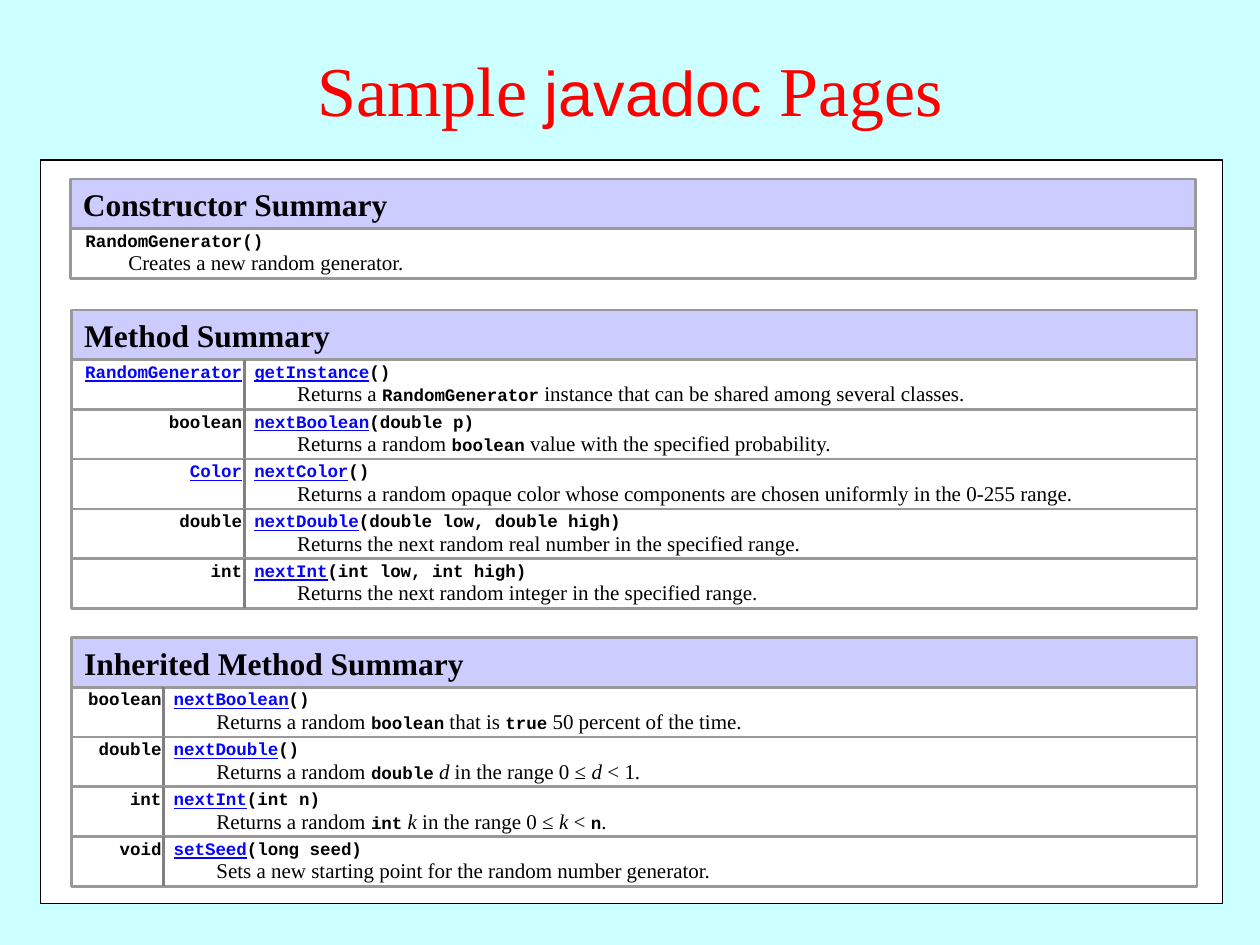
from pptx import Presentation
from pptx.dml.color import RGBColor
from pptx.enum.shapes import MSO_CONNECTOR as Connector, MSO_SHAPE as Shape
from pptx.enum.text import MSO_ANCHOR as Anchor, PP_ALIGN as Align
from pptx.util import Inches, Pt
from lxml import etree

SERIF, MONO, SANS = "Times New Roman", "Courier New", "Arial"
color = RGBColor.from_string

deck = Presentation()
deck.slide_width, deck.slide_height = Inches(10), Inches(7.5)
slide = deck.slides.add_slide(deck.slide_layouts[5])
slide.background.fill.solid()
slide.background.fill.fore_color.rgb = color("CCFFFF")

ROW = 7.5 / 19
LEFT, WIDTH = 0.57, 8.93
SIGNATURE_WIDTH, DETAIL_WIDTH = 7.51, 7.17


def box(left, top, width, height, fill, line, weight):
    panel = slide.shapes.add_shape(
        Shape.RECTANGLE, Inches(left), Inches(top), Inches(width), Inches(height))
    panel.shadow.inherit = False
    panel.fill.solid()
    panel.fill.fore_color.rgb = color(fill)
    panel.line.color.rgb = color(line)
    panel.line.width = Pt(weight)
    return panel


def label(left, top, width, height, text, face, size, align=Align.LEFT):
    # Pieces are parted by "|"; a leading _ is a link, ` is code, * is italic.
    area = slide.shapes.add_textbox(
        Inches(left), Inches(top), Inches(width), Inches(height))
    area.text_frame.word_wrap = True
    line = area.text_frame.paragraphs[0]
    line.alignment = align
    line.font.name, line.font.size = face, Pt(size)
    line.font.bold = face == MONO
    line.font.color.rgb = color("000000")
    for piece in text.split("|"):
        mark = piece[0]
        run = line.add_run()
        run.text = piece[1:] if mark in "_`*" else piece
        if mark == "_":
            run.font.underline = True
            run.font.color.rgb = color("0404FF")
        elif mark == "`":
            run.font.name, run.font.size, run.font.bold = MONO, Pt(10), True
        elif mark == "*":
            run.font.italic = True


title = slide.shapes.title
title.left, title.top = 0, Inches(0.08)
title.width, title.height = deck.slide_width, Inches(1.25)
title.text_frame.vertical_anchor = Anchor.MIDDLE
heading = title.text_frame.paragraphs[0]
heading.alignment = Align.CENTER
heading.font.color.rgb = color("FF0000")
for words, face, size in [("Sample ", SERIF, 40), ("javadoc", SANS, 36), (" Pages", SERIF, 40)]:
    run = heading.add_run()
    run.text = words
    run.font.name, run.font.size = face, Pt(size)

box(0.32, 1.27, 9.38, 5.9, "FFFFFF", "000000", 0.75)

summaries = [
    ("Constructor Summary", 1.42, None, [
        ("", "RandomGenerator()", "Creates a new random generator."),
    ]),
    ("Method Summary", 2.46, 1.94, [
        ("_RandomGenerator", "_getInstance|()",
         "Returns a |`RandomGenerator| instance that can be shared among several classes."),
        ("boolean", "_nextBoolean|(double p)",
         "Returns a random |`boolean| value with the specified probability."),
        ("_Color", "_nextColor|()",
         "Returns a random opaque color whose components are chosen uniformly in the 0-255 range."),
        ("double", "_nextDouble|(double low, double high)",
         "Returns the next random real number in the specified range."),
        ("int", "_nextInt|(int low, int high)",
         "Returns the next random integer in the specified range."),
    ]),
    ("Inherited Method Summary", 5.06, 1.3, [
        ("boolean", "_nextBoolean|()",
         "Returns a random |`boolean| that is |`true| 50 percent of the time."),
        ("double", "_nextDouble|()",
         "Returns a random |`double| |*d| in the range 0 ≤ |*d| < 1."),
        ("int", "_nextInt|(int n)",
         "Returns a random |`int| |*k| in the range 0 ≤ |*k| < |`n|."),
        ("void", "_setSeed|(long seed)",
         "Sets a new starting point for the random number generator."),
    ]),
]

for caption, summary_top, divider, members in summaries:
    left = LEFT if divider else LEFT - 0.01
    banner = box(left, summary_top, WIDTH, ROW, "CCCCFF", "999999", 1.5)
    banner.text_frame.word_wrap = True
    banner.text_frame.vertical_anchor = Anchor.MIDDLE
    banner_line = banner.text_frame.paragraphs[0]
    banner_line.text = caption
    banner_line.alignment = Align.LEFT
    banner_line.font.name, banner_line.font.size = SERIF, Pt(18)
    banner_line.font.bold = True
    banner_line.font.color.rgb = color("000000")

    signature_left = (divider or 0.6) - 0.02
    for number, (returns, signature, detail) in enumerate(members, 1):
        top = summary_top + number * ROW
        box(left, top, WIDTH, ROW, "FFFFFF", "999999", 1.5)
        if divider:
            rule = slide.shapes.add_connector(
                Connector.STRAIGHT, Inches(divider), Inches(top),
                Inches(divider), Inches(top + ROW))
            rule.line.color.rgb = color("808080")
            rule.line.width = Pt(1.5)
            etree.SubElement(
                rule.element.spPr,
                "{http://schemas.openxmlformats.org/drawingml/2006/main}effectLst")
            label(0.52, top - 0.04, divider + 0.08 - 0.52, 0.27,
                  returns, MONO, 10, Align.RIGHT)
        label(signature_left, top - 0.04, SIGNATURE_WIDTH, 0.27, signature, MONO, 10)
        label(signature_left + 0.34, top + 0.12, DETAIL_WIDTH, 0.3, detail, SERIF, 12)

deck.save("out.pptx")
